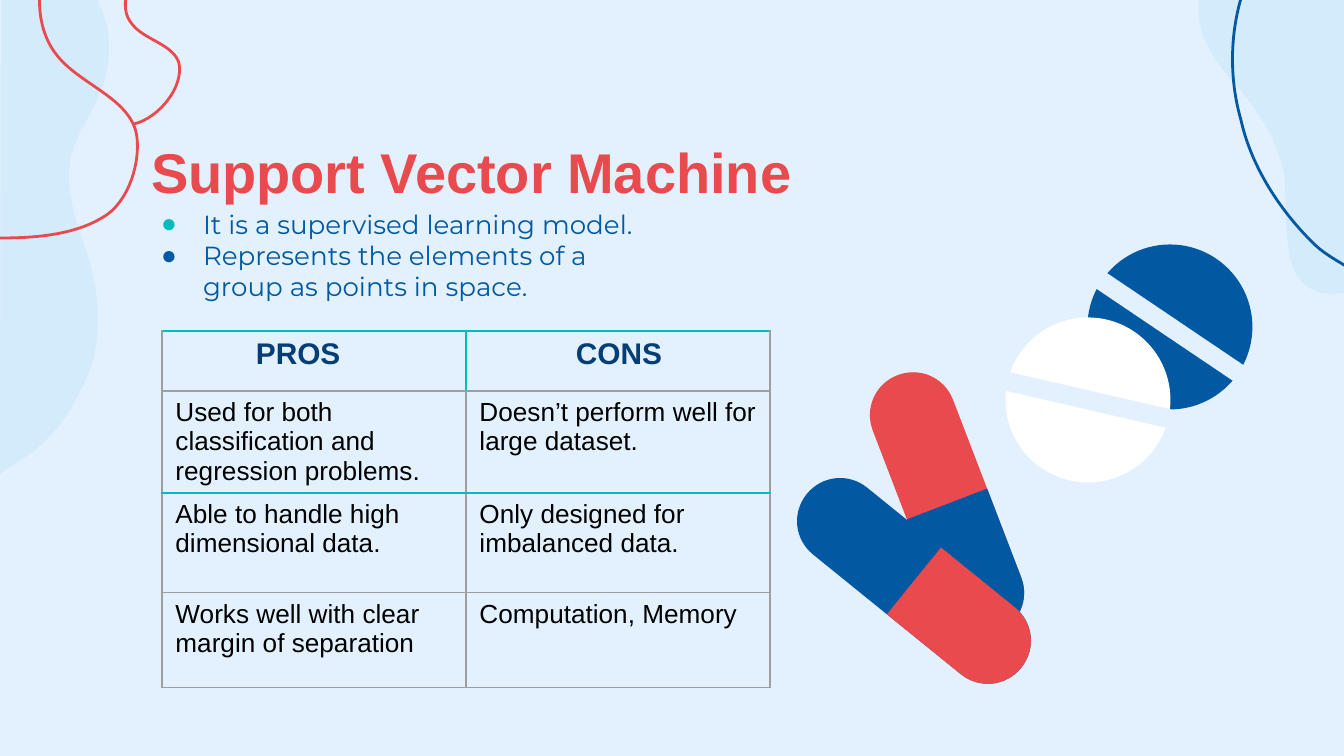
from math import cos, radians, sin
from lxml.etree import SubElement
from pptx import Presentation
from pptx.dml.color import RGBColor
from pptx.enum.shapes import MSO_SHAPE as SHAPE
from pptx.enum.text import MSO_ANCHOR as ANCHOR, MSO_AUTO_SIZE as SIZE, PP_ALIGN as ALIGN
from pptx.oxml.ns import qn
from pptx.util import Emu, Pt

PX = 914400 / 134.4
RED = RGBColor(0xE9, 0x4A, 0x4E)
BLUE = RGBColor(0x02, 0x58, 0xA1)
TEAL = RGBColor(0x00, 0xBC, 0xBC)
PALE = RGBColor(0xE3, 0xF1, 0xFE)
SKY = RGBColor(0xD4, 0xEB, 0xFC)
GREY = RGBColor(0x9E, 0x9E, 0x9E)
NAVY = RGBColor(0x04, 0x3E, 0x74)
WHITE = RGBColor(0xFF, 0xFF, 0xFF)
BLACK = RGBColor(0x00, 0x00, 0x00)

LEFT_BLOB = [
    (109, 50), (109, 69, 103, 87, 95, 105), (82, 129, 69, 148, 69, 175),
    (69, 176, 69, 177, 69, 179), (70, 210, 82, 235, 90, 263),
    (95, 282, 98, 301, 98, 320), (98, 344, 93, 368, 81, 390),
    (73, 406, 62, 425, 48, 438), (35, 453, 16, 462, 0, 474), (1, -12),
    (23, -13, 42, -20, 65, -23), (71, -24, 81, -24, 86, -19),
    (87, -13, 93, -9, 95, -4), (102, 7, 106, 20, 108, 32), (109, 39, 109, 44, 109, 50)]
RIGHT_BLOB = [
    (1422, 132), (1418, 98, 1406, 66, 1387, 38), (1366, 5, 1320, -43, 1274, -51),
    (1230, -60, 1193, -26, 1199, 17), (1199, 20, 1200, 23, 1200, 26),
    (1207, 51, 1224, 73, 1241, 91), (1263, 118, 1279, 145, 1285, 179),
    (1285, 182, 1285, 185, 1285, 188), (1286, 203, 1285, 224, 1288, 245),
    (1290, 270, 1301, 293, 1331, 294), (1349, 294, 1367, 286, 1379, 273),
    (1406, 247, 1421, 214, 1423, 177), (1425, 161, 1423, 146, 1422, 132)]
LONG_WAVE = [
    (51, -48), (35, -17, 35, 27, 56, 54), (79, 85, 132, 98, 137, 137),
    (140, 164, 129, 198, 108, 214), (78, 235, 36, 238, 0, 238)]
SHORT_WAVE = [
    (134, 124), (159, 118, 184, 87, 179, 63),
    (173, 44, 144, 40, 132, 24), (118, 8, 129, -19, 138, -38)]
RIGHT_WAVE = [
    (1296, -73), (1279, -56, 1257, -42, 1247, -19), (1230, 24, 1228, 75, 1241, 120),
    (1251, 165, 1278, 208, 1312, 242), (1331, 262, 1362, 270, 1379, 293),
    (1395, 313, 1402, 347, 1426, 359)]
PILL = [
    (-43, -95), (-43, -119, -24, -138, 0, -138), (24, -138, 43, -119, 43, -95),
    (43, 95), (43, 119, 24, 138, 0, 138), (-24, 138, -43, 119, -43, 95)]
HALF = [(-43, 0), (43, 0)] + PILL[3:]
ROWS = [
    ("PROS", "CONS"),
    ("Used for both classification and regression problems.",
     "Doesn’t perform well for large dataset."),
    ("Able to handle high dimensional data.", "Only designed for imbalanced data."),
    ("Works well with clear margin of separation", "Computation, Memory")]


def px(n):
    return Emu(round(n * PX))


def pairs(step):
    return list(zip(step[::2], step[1::2]))


def draw(slide, curve, close):
    pen = slide.shapes.build_freeform(*map(px, curve[0]))
    dots = [dot for step in curve[1:] for dot in pairs(step)]
    pen.add_line_segments([(px(x), px(y)) for x, y in dots], close=close)
    shape = pen.convert_to_shape()
    shape.shadow.inherit = False
    lines = iter(list(shape._element.iter(qn("a:lnTo"))))
    for step in curve[1:]:
        line = next(lines)
        if len(step) == 6:
            line.addprevious(bend := line.makeelement(qn("a:cubicBezTo")))
            for item in (line, next(lines), next(lines)):
                bend.append(item[0])
                item.getparent().remove(item)
    return shape


def blob(slide, curve, color):
    paint(draw(slide, curve, True), color)


def wave(slide, curve, color):
    shape = draw(slide, curve, False)
    shape.fill.background()
    shape.line.color.rgb = color
    shape.line.width = Pt(1.5)


def paint(shape, color):
    shape.shadow.inherit = False
    shape.fill.solid()
    shape.fill.fore_color.rgb = color
    shape.line.fill.background()


def block(slide, kind, x, y, wide, high, color, turn=0):
    shape = slide.shapes.add_shape(
        kind, px(x - wide / 2), px(y - high / 2), px(wide), px(high))
    shape.rotation = turn
    paint(shape, color)


def spin(curve, x, y, turn):
    c, s = cos(radians(turn)), sin(radians(turn))
    return [tuple(v for a, b in pairs(step)
                  for v in (x + a * c - b * s, y + a * s + b * c)) for step in curve]


def capsule(slide, x, y, turn, top, end):
    blob(slide, spin(PILL, x, y, turn), top)
    blob(slide, spin(HALF, x, y, turn), end)


def tablet(slide, x, y, turn, color):
    block(slide, SHAPE.OVAL, x, y, 165, 165, color)
    block(slide, SHAPE.RECTANGLE, x, y, 166, 19, PALE, turn)


def style(para, name, size, color, bold=False):
    font = para.font
    font.name, font.size, font.bold = name, Pt(size), bold
    font.color.rgb = color


def place(holder, x, y, wide, high, anchor):
    holder.left, holder.top, holder.width, holder.height = map(px, (x, y, wide, high))
    frame = holder.text_frame
    frame.margin_left = frame.margin_right = px(13)
    frame.margin_top = frame.margin_bottom = px(13)
    frame.word_wrap, frame.auto_size = True, SIZE.NONE
    frame.vertical_anchor = anchor
    return frame


def title(slide, text):
    frame = place(slide.shapes.title, 138, 124, 696, 109, ANCHOR.MIDDLE)
    frame.margin_bottom = px(27)
    frame.text = text
    para = frame.paragraphs[0]
    para.alignment = ALIGN.LEFT
    style(para, "Arial", 30, RED, True)


def bullets(slide, items):
    frame = place(slide.placeholders[1], 148, 195, 525, 461, ANCHOR.TOP)
    frame.text = "\n".join(text for text, _ in items)
    for para, (_, color) in zip(frame.paragraphs, items):
        props = para._p.get_or_add_pPr()
        props.set("marL", str(px(42)))
        props.set("indent", str(px(-42)))
        tint = SubElement(props, qn("a:buClr"))
        SubElement(tint, qn("a:srgbClr"), val=str(color))
        SubElement(props, qn("a:buChar"), char="●")
        para.space_before = Pt(0)
        style(para, "Montserrat", 14, BLUE)


def border(cell, side, color, width):
    line = SubElement(cell._tc.get_or_add_tcPr(), qn("a:ln" + side), w=str(Pt(width)))
    fill = SubElement(line, qn("a:solidFill"))
    SubElement(fill, qn("a:srgbClr"), val=str(color))


def grid(slide, rows):
    table = slide.shapes.add_table(
        len(rows), 2, px(162), px(331), px(608), px(357)).table
    table.first_row = table.horz_banding = False
    for col in table.columns:
        col.width = px(304)
    for row, high in zip(table.rows, (60, 102, 100, 95)):
        row.height = px(high)
    accent = {(0, 0, "T"), (0, 1, "T"), (0, 0, "R"), (0, 1, "L"),
              (1, 0, "B"), (1, 1, "B"), (2, 0, "T"), (2, 1, "T")}
    for r, row in enumerate(rows):
        for c, text in enumerate(row):
            cell = table.cell(r, c)
            cell.text = text
            for side in "LRTB":
                teal = (r, c, side) in accent
                border(cell, side, TEAL if teal else GREY, 1 if teal else 0.75)
            cell.fill.background()
            para = cell.text_frame.paragraphs[0]
            if r == 0:
                cell.margin_left = px((94, 110)[c])
                style(para, "Arial", 16, NAVY, True)
            else:
                style(para, "Arial", 14, BLACK)


def main():
    deck = Presentation()
    deck.slide_width, deck.slide_height = px(1344), px(756)
    slide = deck.slides.add_slide(deck.slide_layouts[1])
    slide.background.fill.solid()
    slide.background.fill.fore_color.rgb = PALE
    blob(slide, LEFT_BLOB, SKY)
    blob(slide, RIGHT_BLOB, SKY)
    wave(slide, LONG_WAVE, RED)
    wave(slide, SHORT_WAVE, RED)
    wave(slide, RIGHT_WAVE, BLUE)
    title(slide, "Support Vector Machine")
    bullets(slide, [("It is a supervised learning model.", TEAL),
                    ("Represents the elements of a group as points in space.", BLUE)])
    capsule(slide, 947, 504, -21, RED, BLUE)
    capsule(slide, 914, 581, -51, BLUE, RED)
    tablet(slide, 1170, 327, 34, BLUE)
    tablet(slide, 1088, 400, 13, WHITE)
    grid(slide, ROWS)
    deck.save("out.pptx")


if __name__ == "__main__":
    main()
